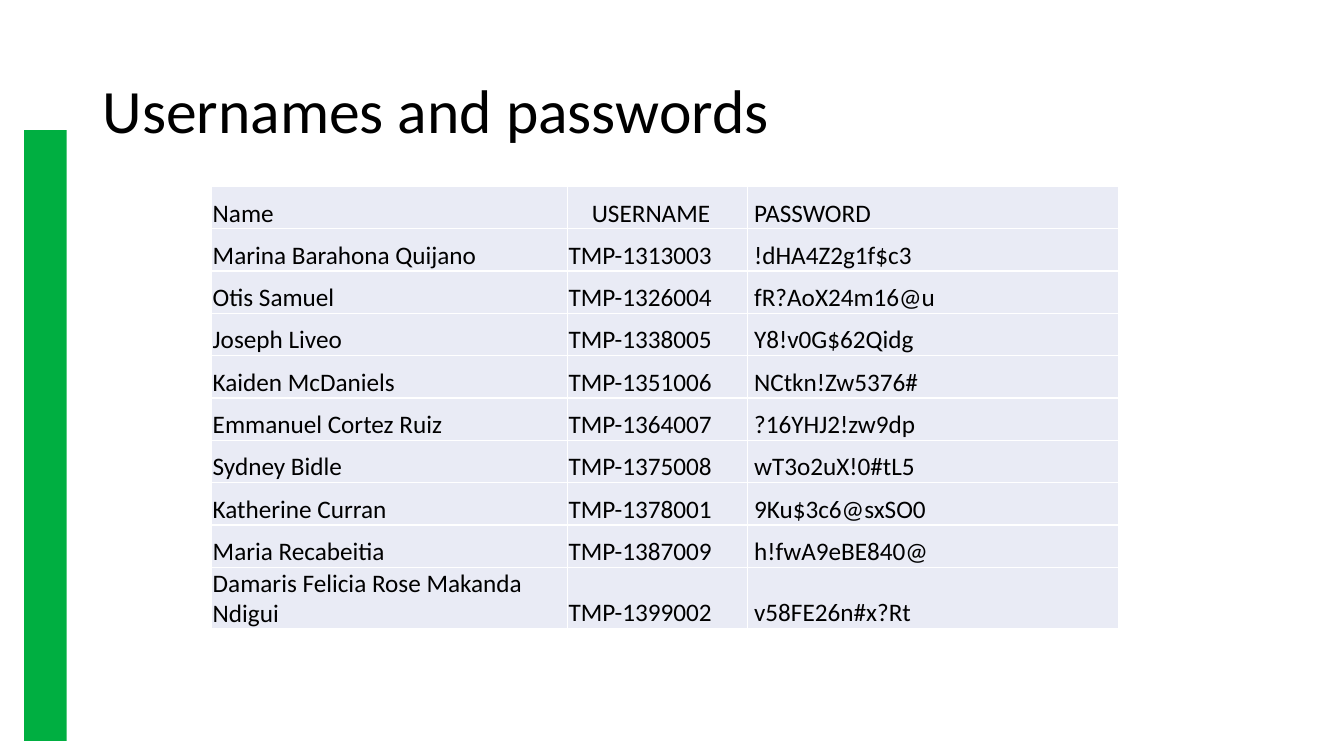
from dataclasses import dataclass

import pptx
import pptx.dml.color
import pptx.enum.shapes
import pptx.enum.text
import pptx.oxml
import pptx.oxml.ns
import pptx.util
from pptx.util import Inches

FONT = "Calibri"
BLACK, WHITE, GREEN, CELL_FILL = "000000", "FFFFFF", "00AF41", "E9EBF5"
ROW_HEIGHT = 0.42


@dataclass
class Column:
    width: float
    header_indent: float
    body_indent: float


@dataclass
class Account:
    name: str
    username: str
    password: str


COLUMNS = [
    Column(3.53, 0.01, 0.01),
    Column(1.78, 0.24, 0.01),
    Column(3.68, 0.07, 0.07),
]

ROWS = [
    Account("Name", "USERNAME", "PASSWORD"),
    Account("Marina Barahona Quijano", "TMP-1313003", "!dHA4Z2g1f$c3"),
    Account("Otis Samuel", "TMP-1326004", "fR?AoX24m16@u"),
    Account("Joseph Liveo", "TMP-1338005", "Y8!v0G$62Qidg"),
    Account("Kaiden McDaniels", "TMP-1351006", "NCtkn!Zw5376#"),
    Account("Emmanuel Cortez Ruiz", "TMP-1364007", "?16YHJ2!zw9dp"),
    Account("Sydney Bidle", "TMP-1375008", "wT3o2uX!0#tL5"),
    Account("Katherine Curran", "TMP-1378001", "9Ku$3c6@sxSO0"),
    Account("Maria Recabeitia", "TMP-1387009", "h!fwA9eBE840@"),
    Account("Damaris Felicia Rose Makanda Ndigui", "TMP-1399002", "v58FE26n#x?Rt"),
]


def rgb(value: str) -> pptx.dml.color.RGBColor:
    return pptx.dml.color.RGBColor.from_string(value)


def set_text(p, text: str, size: float) -> None:
    p.text = text
    p.font.name = FONT
    p.font.size = pptx.util.Pt(size)
    p.font.color.rgb = rgb(BLACK)


def add_borders(cell, color: str) -> None:
    tc_pr = cell._tc.get_or_add_tcPr()
    for side in ("lnL", "lnR", "lnT", "lnB"):
        tc_pr.append(pptx.oxml.parse_xml(
            f'<a:{side} {pptx.oxml.ns.nsdecls("a")} w="12700"><a:solidFill>'
            f'<a:srgbClr val="{color}"/></a:solidFill></a:{side}>'))


def fill_cell(cell, text: str, indent: float) -> None:
    add_borders(cell, WHITE)
    cell.fill.solid()
    cell.fill.fore_color.rgb = rgb(CELL_FILL)
    cell.margin_left = Inches(indent)
    cell.margin_right = cell.margin_top = Inches(0.01)
    cell.margin_bottom = 0
    cell.vertical_anchor = pptx.enum.text.MSO_ANCHOR.BOTTOM
    set_text(cell.text_frame.paragraphs[0], text, 18)


def add_side_bar(s) -> None:
    sp = s.shapes.add_shape(pptx.enum.shapes.MSO_SHAPE.RECTANGLE,
                            Inches(0.24), Inches(1.29), Inches(0.42), Inches(6.06))
    sp.shadow.inherit = False
    sp.fill.solid()
    sp.fill.fore_color.rgb = rgb(GREEN)
    sp.line.fill.background()


def add_title(s, text: str) -> None:
    tf = s.shapes.add_textbox(Inches(0.92), Inches(0.4), Inches(11.5), Inches(1.45)).text_frame
    tf.word_wrap = True
    tf.vertical_anchor = pptx.enum.text.MSO_ANCHOR.MIDDLE
    p = tf.paragraphs[0]
    set_text(p, text, 44)
    p.line_spacing = 0.9


def add_accounts(s) -> None:
    width = sum(column.width for column in COLUMNS)
    table = s.shapes.add_table(len(ROWS), len(COLUMNS), Inches(2.1), Inches(1.85),
                               Inches(width), Inches(ROW_HEIGHT * len(ROWS))).table
    table.first_row = table.horz_banding = False
    for c, column in enumerate(COLUMNS):
        table.columns[c].width = Inches(column.width)
    for r, row in enumerate(ROWS):
        table.rows[r].height = Inches(ROW_HEIGHT)
        for c, text in enumerate((row.name, row.username, row.password)):
            indent = COLUMNS[c].body_indent if r else COLUMNS[c].header_indent
            fill_cell(table.cell(r, c), text, indent)


def main() -> None:
    prs = pptx.Presentation()
    prs.slide_width, prs.slide_height = Inches(13.33), Inches(7.5)
    s = prs.slides.add_slide(prs.slide_layouts[6])
    # Accent and heading
    add_side_bar(s)
    add_title(s, "Usernames and passwords")
    # Account list
    add_accounts(s)
    prs.save("out.pptx")


if __name__ == "__main__":
    main()
